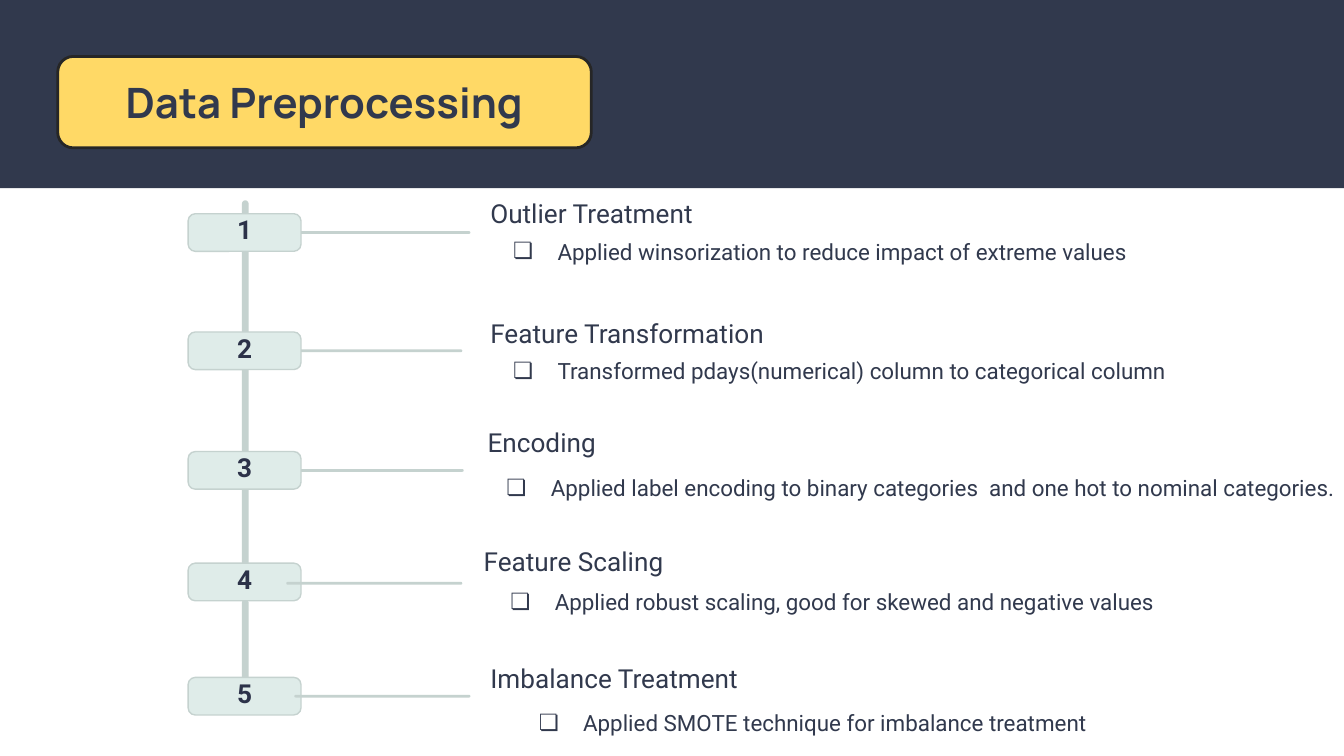
"""Build the Data Preprocessing slide: a numbered timeline of five steps."""
from lxml import etree
from pptx import Presentation
from pptx.dml.color import RGBColor
from pptx.enum.shapes import MSO_SHAPE as Shape
from pptx.enum.text import MSO_ANCHOR as Anchor, MSO_AUTO_SIZE as AutoSize, PP_ALIGN as Align
from pptx.oxml.ns import qn
from pptx.util import Inches, Pt

COLORS = {
    "navy": "31394D",
    "number": "2C3249",
    "rail": "C5D2CF",
    "badge": "DFECE9",
    "yellow": "FFD966",
    "outline": "262626",
}
SLIDE_WIDTH = 10
SLIDE_HEIGHT = SLIDE_WIDTH * 9 / 16
TITLE = "Data Preprocessing"
RAILS = [(1.49, 2.98), (4.46, 0.74)]
BADGE_LEFT, BADGE_WIDTH, BADGE_HEIGHT = 1.4, 0.84, 0.28
NUMBER_WIDTH = 0.4
STEPS = [
    {"badge_top": 1.59, "branch": (2.19, 1.72), "branch_in_front": False,
     "heading": ("Outlier Treatment", 3.55, 1.37, 1.8),
     "detail": ("Applied winsorization to reduce impact of extreme values", 3.55, 1.67, 5.01)},
    {"badge_top": 2.47, "branch": (2.13, 2.6), "branch_in_front": False,
     "heading": ("Feature Transformation", 3.55, 2.26, 2.3),
     "detail": ("Transformed pdays(numerical) column to categorical column", 3.55, 2.56, 5.38)},
    {"badge_top": 3.36, "branch": (2.14, 3.49), "branch_in_front": False,
     "heading": ("Encoding", 3.53, 3.07, 1.36),
     "detail": ("Applied label encoding to binary categories  and one hot to nominal categories.",
                3.5, 3.43, 6.59)},
    {"badge_top": 4.19, "branch": (2.13, 4.33), "branch_in_front": True,
     "heading": ("Feature Scaling", 3.5, 3.96, 1.8),
     "detail": ("Applied robust scaling, good for skewed and negative values", 3.53, 4.28, 5.53)},
    {"badge_top": 5.04, "branch": (2.19, 5.17), "branch_in_front": True,
     "heading": ("Imbalance Treatment", 3.55, 4.83, 2.53),
     "detail": ("Applied SMOTE technique for imbalance treatment", 3.74, 5.18, 5.01)},
]


def color(name):
    return RGBColor.from_string(COLORS[name])


def add_block(slide, left, top, width, height, fill, corner=None, line=None, line_width=0.75):
    kind = Shape.RECTANGLE if corner is None else Shape.ROUNDED_RECTANGLE
    block = slide.shapes.add_shape(kind, *map(Inches, (left, top, width, height)))
    block.shadow.inherit = False
    if corner is not None:
        block.adjustments[0] = corner
    block.fill.solid()
    block.fill.fore_color.rgb = color(fill)
    if line:
        block.line.color.rgb = color(line)
        block.line.width = Pt(line_width)
    else:
        block.line.fill.background()
    return block


def add_bullet(para, font, size):
    properties = para._p.get_or_add_pPr()
    properties.set("marL", str(Inches(0.5)))
    properties.set("indent", str(Inches(-0.33)))
    bullet_color = etree.SubElement(properties, qn("a:buClr"))
    etree.SubElement(bullet_color, qn("a:srgbClr"), val=COLORS["navy"])
    etree.SubElement(properties, qn("a:buSzPts"), val=str(size * 100))
    etree.SubElement(properties, qn("a:buFont"), typeface=font)
    etree.SubElement(properties, qn("a:buChar"), char="❏")


def write(box, text, size, font="Roboto", ink="navy", inset=0.1, bold=False,
          align=Align.LEFT, anchor=Anchor.TOP, bullet=False):
    frame = box.text_frame
    frame.word_wrap = True
    frame.vertical_anchor = anchor
    frame.margin_left = frame.margin_right = Inches(inset)
    frame.margin_top = frame.margin_bottom = Inches(inset)
    para = frame.paragraphs[0]
    para.text = text
    para.alignment = align
    if bullet:
        add_bullet(para, font, size)
    para.font.name = font
    para.font.size = Pt(size)
    para.font.bold = bold
    para.font.color.rgb = color(ink)


def add_text(slide, text, left, top, width, height, size, grow=False, **style):
    box = slide.shapes.add_textbox(*map(Inches, (left, top, width, height)))
    write(box, text, size, **style)
    if grow:
        box.text_frame.auto_size = AutoSize.SHAPE_TO_FIT_TEXT


def add_step(slide, number, step):
    def add_branch():
        add_block(slide, *step["branch"], 1.31, 0.02, "rail", corner=0.5)

    top = step["badge_top"]
    if not step["branch_in_front"]:
        add_branch()
    add_block(slide, BADGE_LEFT, top, BADGE_WIDTH, BADGE_HEIGHT, "badge", 0.19, "rail")
    number_left = BADGE_LEFT + (BADGE_WIDTH - NUMBER_WIDTH) / 2
    add_text(slide, str(number), number_left, top, NUMBER_WIDTH, BADGE_HEIGHT, 14,
             ink="number", inset=0, bold=True, align=Align.CENTER)
    if step["branch_in_front"]:
        add_branch()
    add_text(slide, *step["heading"], 0.44, 14, grow=True)
    add_text(slide, *step["detail"], 0.4, 12, grow=True, bullet=True)


def main():
    deck = Presentation()
    deck.slide_width, deck.slide_height = Inches(SLIDE_WIDTH), Inches(SLIDE_HEIGHT)
    slide = deck.slides.add_slide(deck.slide_layouts[6])
    add_block(slide, 0, 0, SLIDE_WIDTH, 1.4, "navy")
    for top, height in RAILS:
        add_block(slide, 1.8, top, 0.05, height, "rail", corner=0.5)
    for number, step in enumerate(STEPS, 1):
        add_step(slide, number, step)
    title = add_block(slide, 0.43, 0.42, 3.97, 0.68, "yellow", 0.17, "outline", 1.5)
    write(title, TITLE, 22.4, font="Manrope", bold=True, align=Align.CENTER, anchor=Anchor.MIDDLE)
    deck.save("out.pptx")


if __name__ == "__main__":
    main()
